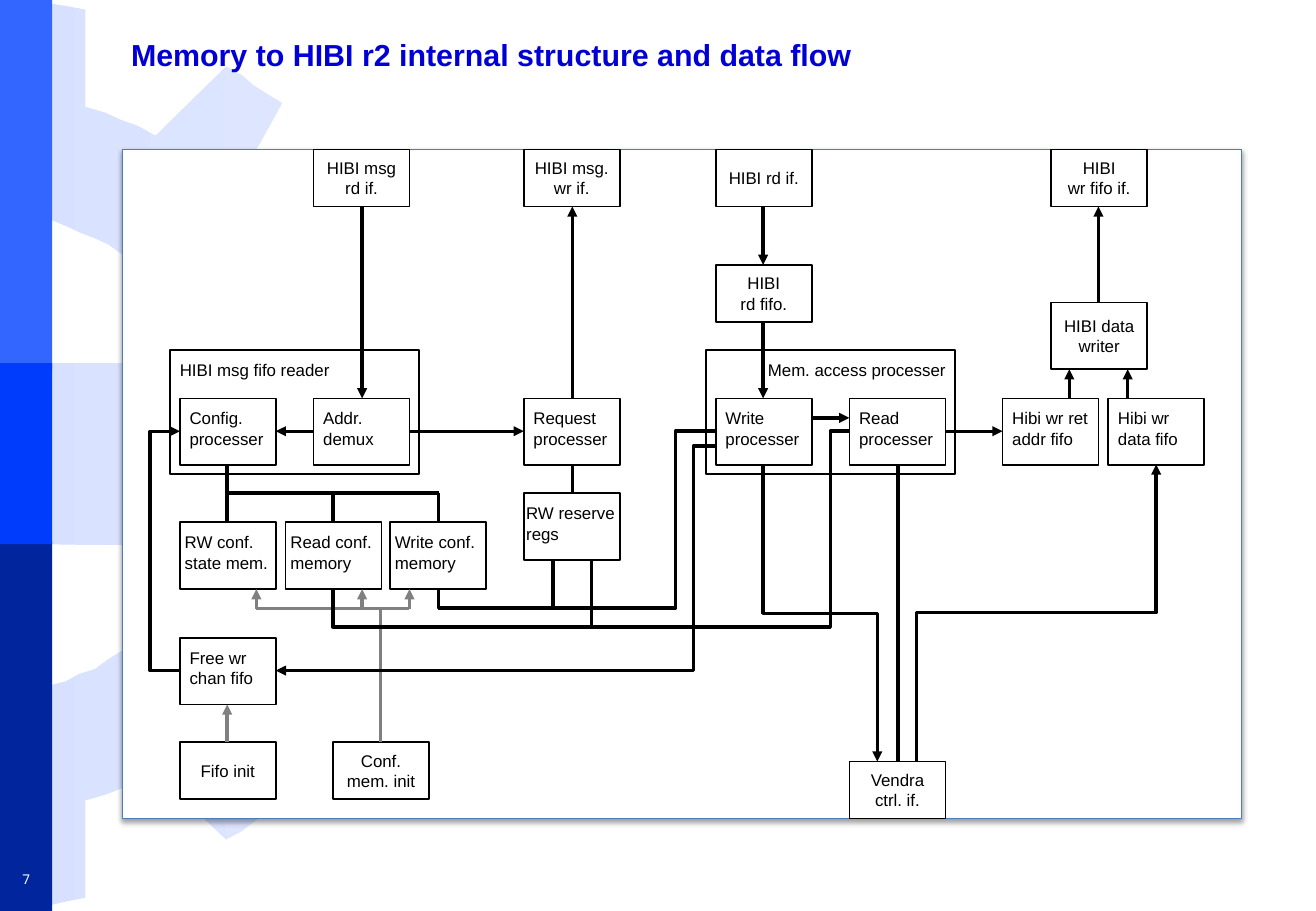
from dataclasses import dataclass

from lxml import etree
from pptx import Presentation
from pptx.dml.color import RGBColor
from pptx.enum.shapes import MSO_CONNECTOR, MSO_SHAPE
from pptx.enum.text import MSO_ANCHOR, PP_ALIGN
from pptx.oxml.ns import qn
from pptx.util import Inches, Pt

RECT = MSO_SHAPE.RECTANGLE
STRAIGHT, ELBOW = MSO_CONNECTOR.STRAIGHT, MSO_CONNECTOR.ELBOW
LEFT, CENTER, RIGHT = PP_ALIGN.LEFT, PP_ALIGN.CENTER, PP_ALIGN.RIGHT
TOP, MIDDLE = MSO_ANCHOR.TOP, MSO_ANCHOR.MIDDLE


@dataclass(frozen=True)
class Theme:
    font: str = "Arial"
    number_font: str = "Noto Sans Mono"
    title_size: int = 18
    box_size: int = 10
    number_size: int = 8
    title: str = "0000D6"
    black: str = "000000"
    grey: str = "808080"
    white: str = "FFFFFF"
    panel_line: str = "4B7EBC"
    band_top: str = "3366FF"
    band_middle: str = "003CFC"
    band_bottom: str = "00259C"
    gear: tuple = ("D7E1FF", "E3EAFF")


theme = Theme()
rgb = RGBColor.from_string


def add_rect(x, y, w, h, fill, line=None, weight=1):
    sp = s.shapes.add_shape(RECT, Inches(x), Inches(y), Inches(w), Inches(h))
    sp.shadow.inherit = False
    sp.fill.solid()
    sp.fill.fore_color.rgb = rgb(fill)
    if line:
        sp.line.color.rgb = rgb(line)
        sp.line.width = Pt(weight)
    else:
        sp.line.fill.background()
    return sp


def style_line(cxn, color, arrow):
    cxn.line.color.rgb = rgb(color)
    cxn.line.width = Pt(2)
    sp_pr = cxn._element.spPr
    if arrow:
        etree.SubElement(sp_pr.find(qn("a:ln")), qn("a:tailEnd"), type="triangle")
    etree.SubElement(sp_pr, qn("a:effectLst"))


prs = Presentation()
prs.slide_width, prs.slide_height = Inches(10.83), Inches(7.5)
s = prs.slides.add_slide(prs.slide_layouts[6])

# Gear outline in hundredths of an inch
gear = [
    (173, 299), (0, 299), (0, 448), (173, 449), (167, 461), (160, 472), (155, 484),
    (147, 495), (139, 504), (130, 512), (119, 522), (111, 528), (100, 536), (89, 543),
    (78, 551), (65, 555), (54, 561), (42, 564), (28, 568), (14, 570), (14, 749),
    (29, 746), (42, 745), (55, 742), (70, 739), (70, 659), (87, 654), (100, 649),
    (114, 643), (128, 635), (186, 691), (199, 684), (208, 677), (219, 669), (232, 662),
    (192, 591), (206, 578), (215, 568), (225, 555), (236, 542), (314, 566), (320, 555),
    (327, 543), (333, 534), (338, 520), (273, 472), (275, 457), (281, 442), (282, 435),
    (283, 427), (286, 412), (367, 400), (370, 385), (370, 373), (370, 359), (367, 347),
    (286, 334), (283, 320), (281, 305), (275, 291), (273, 273), (338, 227), (333, 214),
    (327, 204), (320, 192), (314, 180), (236, 205), (225, 192), (215, 180), (206, 169),
    (192, 157), (232, 85), (219, 77), (208, 70), (199, 62), (186, 55), (128, 112),
    (114, 104), (100, 99), (87, 93), (70, 88), (70, 8), (55, 5), (42, 3), (29, 1),
    (14, 0), (14, 176), (28, 180), (42, 181), (54, 186), (65, 191), (78, 196),
    (89, 201), (100, 209), (111, 216), (119, 226), (130, 234), (139, 242), (147, 253),
    (155, 264), (160, 276), (167, 286),
]
builder = s.shapes.build_freeform(*gear[0], scale=Inches(0.01))
builder.add_line_segments(gear[1:], close=True)
sp = builder.convert_to_shape()
sp.shadow.inherit = False
sp.line.fill.background()
sp.fill.gradient()
sp.fill.gradient_angle = 0
for stop, color in zip(sp.fill.gradient_stops, theme.gear):
    stop.color.rgb = rgb(color)

for y, h, color in [(0, 3.05, theme.band_top), (4.46, 3.04, theme.band_bottom),
                    (2.99, 1.49, theme.band_middle)]:
    add_rect(0, y, 0.43, h, color)

labels = [
    ("Memory to HIBI r2 internal structure and data flow", 0.98, 0.21, 9.39, 0.47,
     LEFT, True, theme.font, theme.title_size, theme.title, True),
    ("7", 0, 7.11, 0.43, 0.26,
     CENTER, False, theme.number_font, theme.number_size, theme.white, False),
]
for text, x, y, w, h, align, wrap, font, size, color, bold in labels:
    tf = s.shapes.add_textbox(Inches(x), Inches(y), Inches(w), Inches(h)).text_frame
    tf.word_wrap = wrap
    tf.vertical_anchor = MIDDLE
    p = tf.paragraphs[0]
    p.text = text
    p.alignment = align
    p.font.name, p.font.size, p.font.bold = font, Pt(size), bold
    p.font.color.rgb = rgb(color)

panel = add_rect(1.01, 1.23, 9.21, 5.51, theme.white, theme.panel_line, 0.75)
effects = panel._element.spPr.find(qn("a:effectLst"))
shadow = etree.SubElement(effects, qn("a:outerShdw"), blurRad=str(Pt(3.1)),
                          dist=str(Pt(1.6)), dir="5400000", rotWithShape="0")
tint = etree.SubElement(shadow, qn("a:srgbClr"), val=theme.black)
etree.SubElement(tint, qn("a:alpha"), val="38000")

# kind: width, height, side inset, top inset, alignment, anchor, wrap
kinds = {
    "group": (2.05, 1.02, 0.08, 0.08, LEFT, TOP, True),
    "group_right": (2.05, 1.02, 0.08, 0.08, RIGHT, TOP, True),
    "port": (0.79, 0.47, 0, 0, CENTER, MIDDLE, False),
    "init": (0.79, 0.47, 0.08, 0.08, CENTER, MIDDLE, True),
    "writer": (0.79, 0.55, 0.08, 0.08, CENTER, MIDDLE, True),
    "unit": (0.79, 0.55, 0.08, 0.08, LEFT, TOP, True),
    "memory": (0.79, 0.55, 0.04, 0.08, LEFT, TOP, True),
    "regs": (0.79, 0.55, 0.02, 0.08, LEFT, TOP, True),
}
boxes = [
    ("group", 1.4, 2.88, "HIBI msg fifo reader"),
    ("group_right", 5.81, 2.88, "Mem. access processer"),
    ("port", 2.58, 1.23, "HIBI msg\nrd if."),
    ("port", 4.31, 1.23, "HIBI msg.\nwr if."),
    ("port", 5.89, 1.23, "HIBI rd if."),
    ("port", 8.65, 1.23, "HIBI\nwr fifo if."),
    ("port", 5.89, 2.18, "HIBI\nrd fifo."),
    ("writer", 8.65, 2.49, "HIBI data writer"),
    ("unit", 1.48, 3.28, "Config. processer"),
    ("unit", 2.58, 3.28, "Addr. demux"),
    ("unit", 4.31, 3.28, "Request processer"),
    ("unit", 5.89, 3.28, "Write processer"),
    ("unit", 6.99, 3.28, "Read processer"),
    ("unit", 8.25, 3.28, "Hibi wr ret addr fifo"),
    ("unit", 9.12, 3.28, "Hibi wr data fifo"),
    ("regs", 4.31, 4.06, "RW reserve regs"),
    ("memory", 1.48, 4.3, "RW conf. state mem."),
    ("memory", 2.35, 4.3, "Read conf. memory"),
    ("memory", 3.21, 4.3, "Write conf. memory"),
    ("unit", 1.48, 5.25, "Free wr chan fifo"),
    ("init", 1.48, 6.11, "Fifo init"),
    ("init", 2.74, 6.11, "Conf. mem. init"),
    ("init", 6.99, 6.27, "Vendra ctrl. if."),
]
for kind, x, y, text in boxes:
    w, h, side, top, align, anchor, wrap = kinds[kind]
    tf = add_rect(x, y, w, h, theme.white, theme.black).text_frame
    tf.margin_left = tf.margin_right = Inches(side)
    tf.margin_top = tf.margin_bottom = Inches(top)
    tf.word_wrap = wrap
    tf.vertical_anchor = anchor
    tf.text = text
    for p in tf.paragraphs:
        p.alignment = align
        p.font.name, p.font.size = theme.font, Pt(theme.box_size)
        p.font.color.rgb = rgb(theme.black)

line_sets = [
    (theme.grey, False, [(3.13, 5.01, 3.13, 6.11), (3.37, 5.01, 2.11, 5.01)]),
    (theme.grey, True, [(1.87, 6.11, 1.87, 5.8)]
     + [(x, 5.01, x, 4.85) for x in (2.11, 2.98, 3.37)]),
    (theme.black, False, [
        (1.87, 3.83, 1.87, 4.3), (1.87, 4.06, 3.61, 4.06), (2.74, 4.06, 2.74, 4.3),
        (3.61, 4.06, 3.61, 4.3), (4.71, 3.83, 4.71, 4.06), (4.55, 4.62, 4.55, 5.01),
        (4.87, 4.62, 4.87, 5.17), (7.39, 3.83, 7.39, 6.27)]),
    (theme.black, True, [
        (2.98, 1.7, 2.98, 3.28), (4.71, 3.28, 4.71, 1.7), (6.28, 1.7, 6.28, 2.18),
        (6.28, 2.64, 6.28, 3.28), (9.04, 2.49, 9.04, 1.7), (8.8, 3.28, 8.8, 3.04),
        (9.28, 3.28, 9.28, 3.04), (2.58, 3.55, 2.27, 3.55), (3.37, 3.55, 4.31, 3.55),
        (6.68, 3.44, 6.99, 3.44), (7.78, 3.55, 8.25, 3.55)]),
]
for color, arrow, lines in line_sets:
    for ends in lines:
        cxn = s.shapes.add_connector(STRAIGHT, *map(Inches, ends))
        style_line(cxn, color, arrow)

# left, top, width, height, rotation, flips, bends in percent, arrow
elbows = [
    (1.48, 3.55, 0.01, 1.97, 180, "", (2600,), True),
    (7.31, 4.06, 2.44, 1.97, 90, "HV", (50,), True),
    (5.53, 4.58, 2.44, 0.94, 270, "H", (50,), True),
    (3.61, 3.55, 2.28, 1.3, 180, "V", (14.5, 112), False),
    (2.74, 3.55, 4.25, 1.3, 180, "V", (3.7, 124), False),
    (2.27, 3.67, 3.62, 1.85, 180, "V", (5.1,), True),
]
for x, y, w, h, turn, flips, bends, arrow in elbows:
    cxn = s.shapes.add_connector(ELBOW, *map(Inches, (x, y, x + w, y + h)))
    xfrm = cxn._element.spPr.find(qn("a:xfrm"))
    xfrm.set("rot", str(turn * 60000))
    for axis in flips:
        xfrm.set("flip" + axis, "1")
    geom = cxn._element.spPr.find(qn("a:prstGeom"))
    geom.set("prst", f"bentConnector{len(bends) + 2}")
    guides = geom.find(qn("a:avLst"))
    for i, bend in enumerate(bends, 1):
        etree.SubElement(guides, qn("a:gd"), name=f"adj{i}", fmla=f"val {round(bend * 1000)}")
    style_line(cxn, theme.black, arrow)

prs.save("out.pptx")
